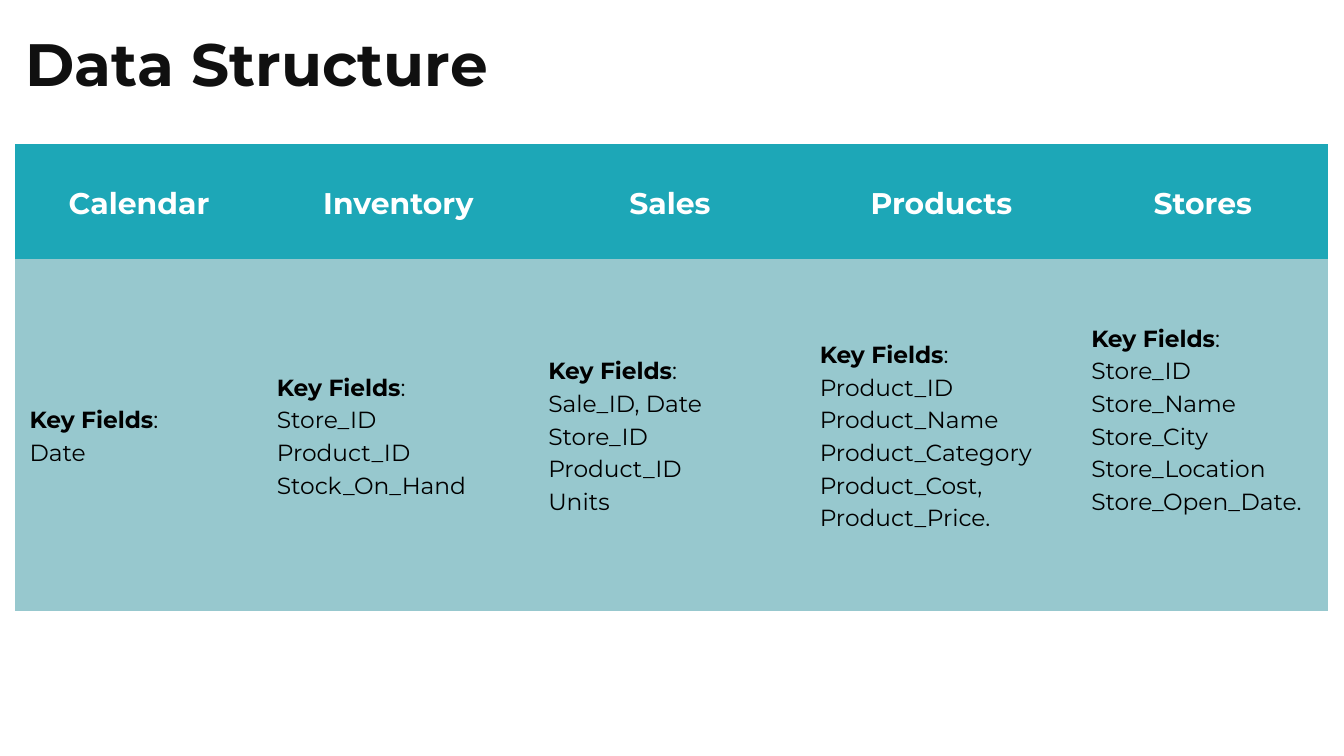
from lxml import etree
from pptx import Presentation
from pptx.dml.color import RGBColor
from pptx.enum.text import MSO_ANCHOR, MSO_AUTO_SIZE, PP_ALIGN
from pptx.oxml.ns import qn
from pptx.util import Inches, Pt

LEFT, CENTER, JUSTIFY = PP_ALIGN.LEFT, PP_ALIGN.CENTER, PP_ALIGN.JUSTIFY
TOP, MIDDLE = MSO_ANCHOR.TOP, MSO_ANCHOR.MIDDLE

FONT = "Montserrat"
INK = RGBColor(0x10, 0x10, 0x10)
BLACK = RGBColor(0x00, 0x00, 0x00)
WHITE = RGBColor(0xFF, 0xFF, 0xFF)
TEAL = RGBColor(0x1D, 0xA7, 0xB7)
PALE_TEAL = RGBColor(0x97, 0xC8, 0xCE)

# Content: heading, column width, alignment, text after the label, further fields
TITLE = "Data Structure"
LABEL = "Key Fields"
DATASETS = [
    ("Calendar", 3.68, JUSTIFY, ":", ["Date"]),
    ("Inventory", 4.04, JUSTIFY, ":", ["Store_ID", "Product_ID", "Stock_On_Hand"]),
    ("Sales", 4.04, LEFT, ":", ["Sale_ID, Date", "Store_ID", "Product_ID", "Units"]),
    ("Products", 4.04, LEFT, ": Product_ID",
     ["Product_Name", "Product_Category", "Product_Cost, Product_Price."]),
    ("Stores", 3.74, LEFT, ":",
     ["Store_ID", "Store_Name", "Store_City", "Store_Location", "Store_Open_Date."]),
]
ROW_HEIGHTS = (1.7, 5.24)
TABLE_LEFT, TABLE_TOP = 0.23, 2.15
CELL_MARGIN = Inches(0.21)
FIELD_LEADING = Pt(35)


def add_line(paragraph, runs, size, color, align, leading):
    """Fill a paragraph with (text, bold) runs."""
    paragraph.alignment = align
    paragraph.line_spacing = leading
    for text, bold in runs:
        run = paragraph.add_run()
        run.text = text
        font = run.font
        font.name, font.size, font.bold = FONT, Pt(size), bold
        font.color.rgb = color


def fill_cell(cell, fill, lines, size, color, align, leading):
    cell.fill.solid()
    cell.fill.fore_color.rgb = fill
    cell.vertical_anchor = MIDDLE
    cell.margin_left = cell.margin_right = CELL_MARGIN
    cell.margin_top = cell.margin_bottom = CELL_MARGIN
    frame = cell.text_frame
    for i, runs in enumerate(lines):
        paragraph = frame.add_paragraph() if i else frame.paragraphs[0]
        add_line(paragraph, runs, size, color, align, leading)
    # Borderless: the edge elements come before the fill
    properties = cell._tc.get_or_add_tcPr()
    for i, edge in enumerate(("a:lnL", "a:lnR", "a:lnT", "a:lnB")):
        border = etree.Element(qn(edge), w="0")
        etree.SubElement(border, qn("a:noFill"))
        properties.insert(i, border)


prs = Presentation()
prs.slide_width, prs.slide_height = Inches(20), Inches(11.25)
slide = prs.slides.add_slide(prs.slide_layouts[5])

# Title
title = slide.shapes.title
title.left, title.top = Inches(0.38), Inches(0.47)
title.width, title.height = Inches(7.29), Inches(1.01)
frame = title.text_frame
frame.margin_left = frame.margin_right = frame.margin_top = frame.margin_bottom = 0
frame.vertical_anchor = TOP
frame.word_wrap = True
frame.auto_size = MSO_AUTO_SIZE.NONE
add_line(frame.paragraphs[0], [(TITLE, True)], 64, INK, LEFT, Pt(71.7))

# Table of datasets
table_width = sum(width for _, width, *_ in DATASETS)
table = slide.shapes.add_table(
    len(ROW_HEIGHTS), len(DATASETS), Inches(TABLE_LEFT), Inches(TABLE_TOP),
    Inches(table_width), Inches(sum(ROW_HEIGHTS))).table
table.horz_banding = False
for row, height in zip(table.rows, ROW_HEIGHTS):
    row.height = Inches(height)

for col, (heading, width, align, label_tail, fields) in enumerate(DATASETS):
    table.columns[col].width = Inches(width)
    fill_cell(table.cell(0, col), TEAL, [[(heading, True)]], 32, WHITE, CENTER, Pt(44.8))
    lines = [[(LABEL, True), (label_tail, False)]] + [[(field, False)] for field in fields]
    fill_cell(table.cell(1, col), PALE_TEAL, lines, 25, BLACK, align, FIELD_LEADING)

# The Stores list sits half a line higher than the others
table.cell(1, len(DATASETS) - 1).margin_bottom = CELL_MARGIN + FIELD_LEADING

prs.save("out.pptx")
